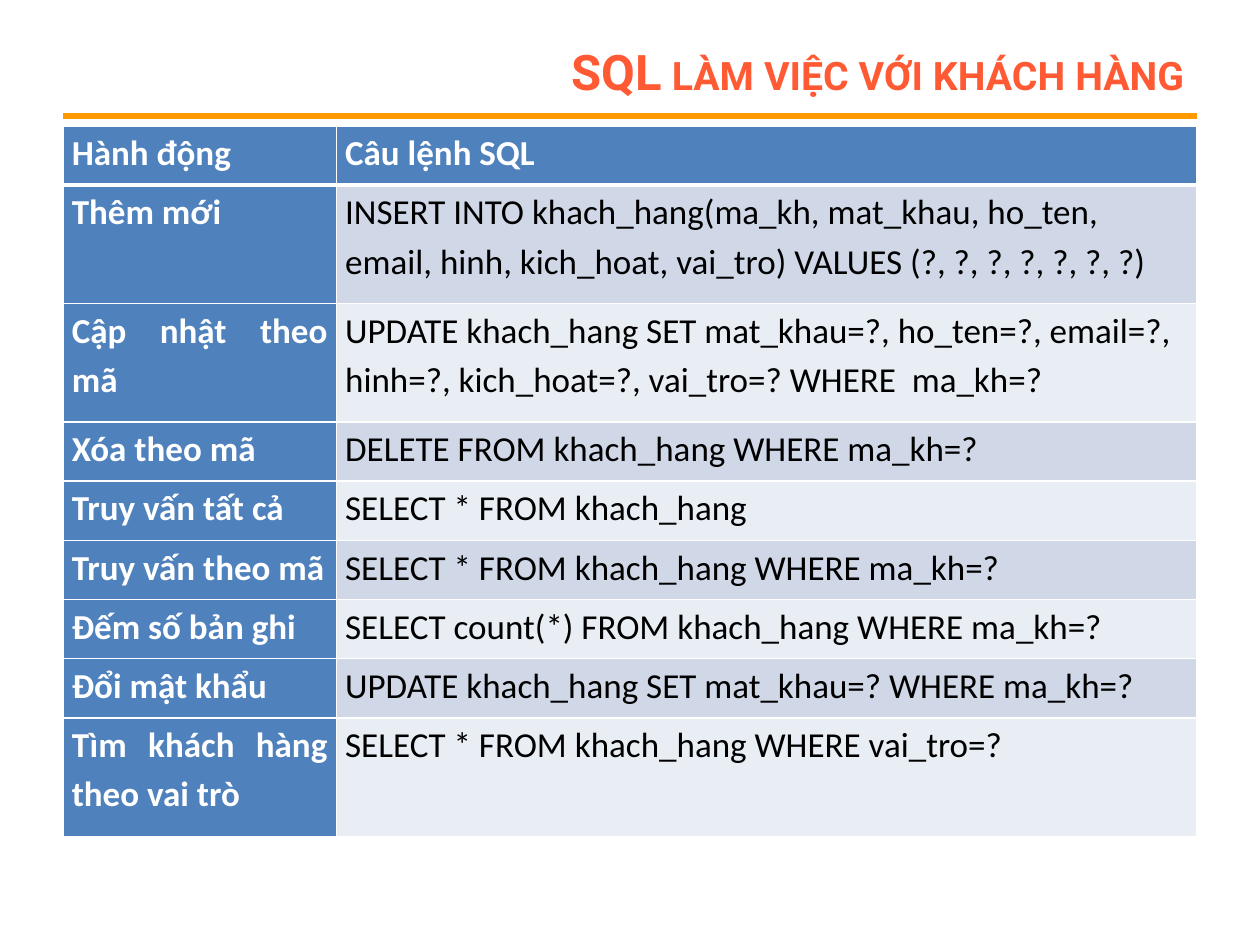
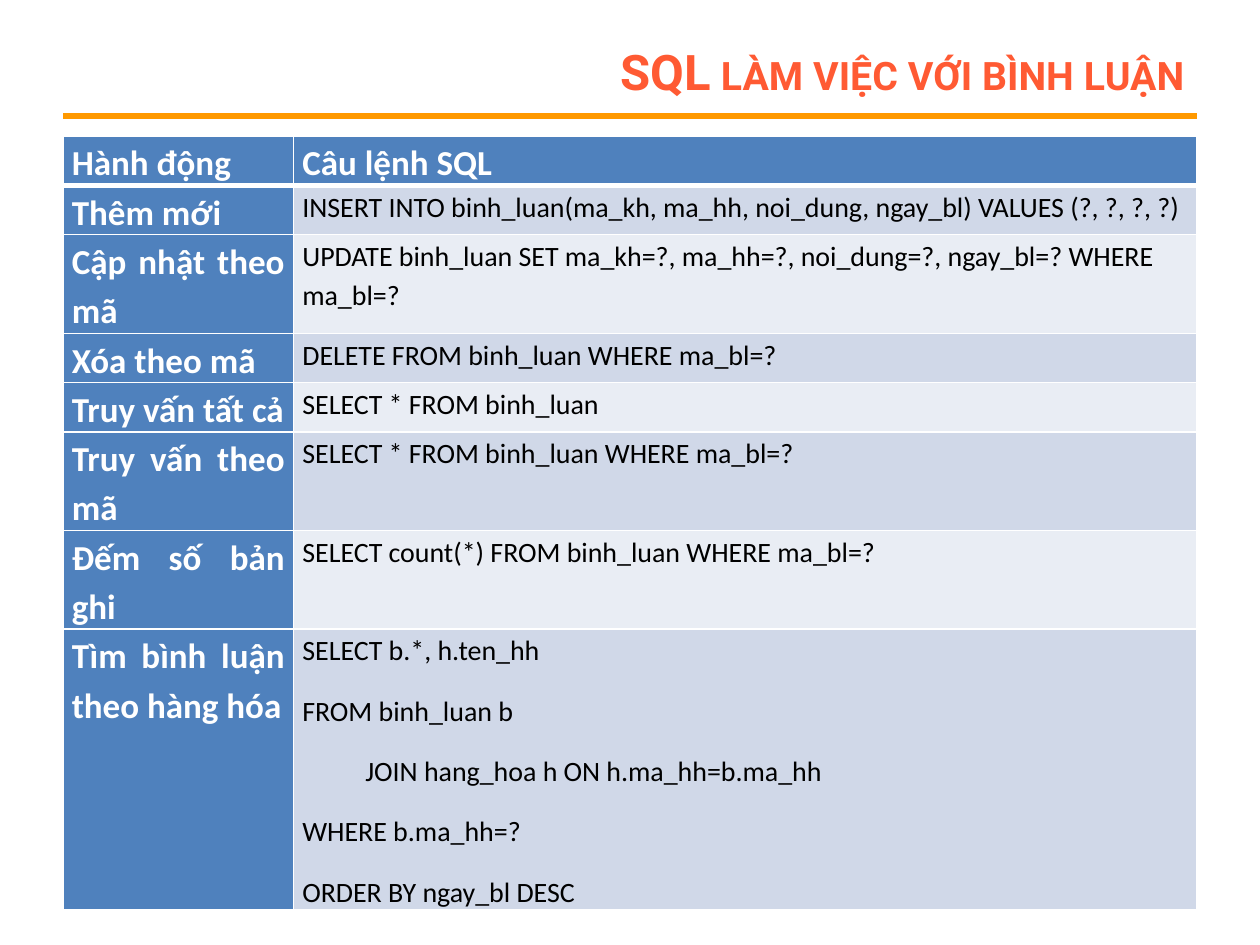
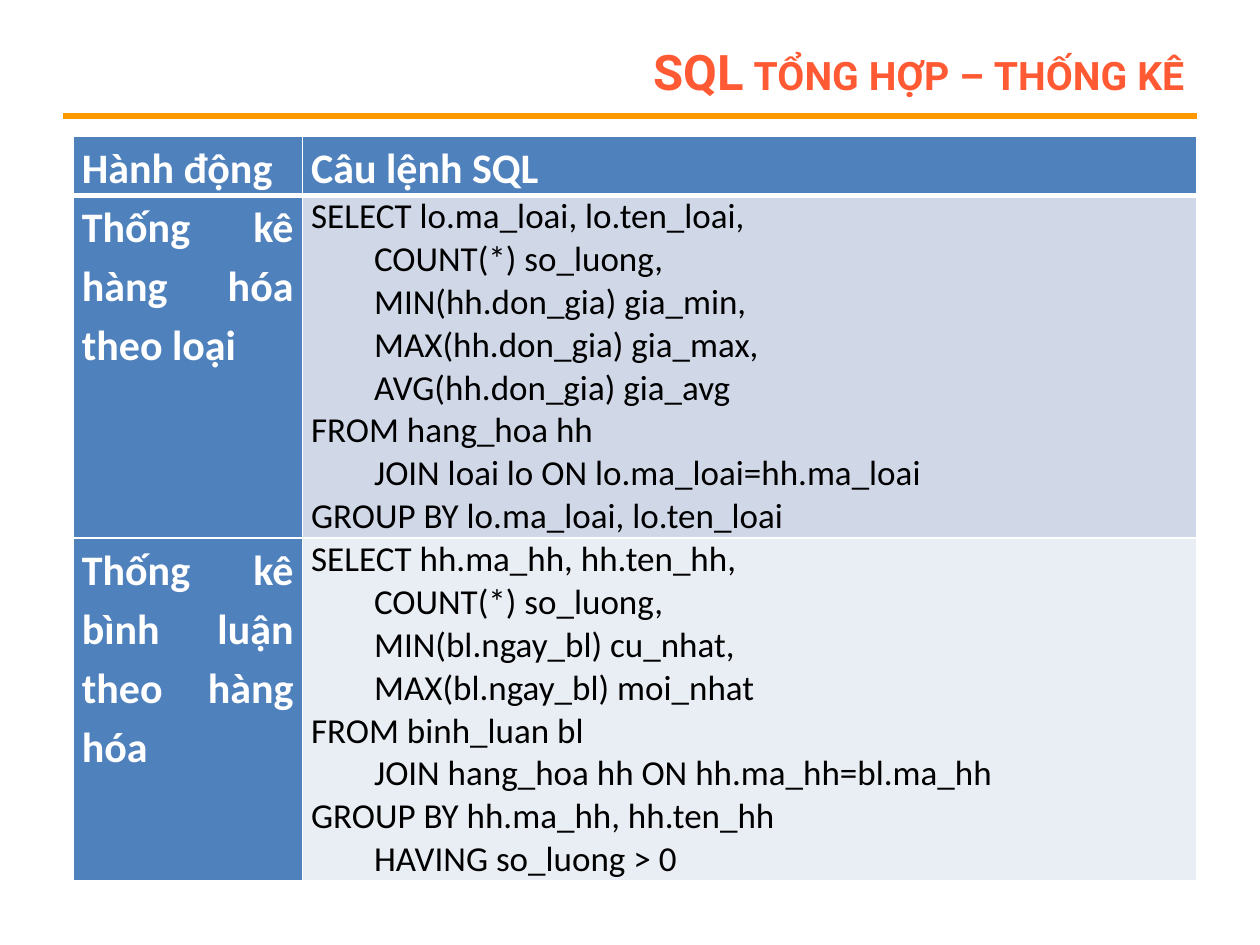
from lxml import etree
from pptx import Presentation
from pptx.dml.color import RGBColor
from pptx.enum.shapes import MSO_CONNECTOR
from pptx.enum.text import MSO_ANCHOR, PP_ALIGN
from pptx.oxml import parse_xml
from pptx.oxml.ns import nsdecls, qn
from pptx.util import Inches, Pt

STRAIGHT = MSO_CONNECTOR.STRAIGHT
MIDDLE = MSO_ANCHOR.MIDDLE
LEFT, RIGHT, JUSTIFY = PP_ALIGN.LEFT, PP_ALIGN.RIGHT, PP_ALIGN.JUSTIFY

COLORS = {
    "title": "FF5A33",
    "rule": "FF9900",
    "header": "4F81BD",
    "odd": "D0D8E8",
    "even": "E9EDF4",
    "white": "FFFFFF",
    "code": "000000",
}
HEADINGS = ("Hành động", ["Câu lệnh SQL"])

# Each row: action, lines of SQL (a leading tab indents the line), row height
ONE, TWO = 0.47, 0.94
customer_rows = [
    ("Thêm mới", ["INSERT INTO khach_hang(ma_kh, mat_khau, ho_ten, email, hinh, "
                  "kich_hoat, vai_tro) VALUES (?, ?, ?, ?, ?, ?, ?)"], TWO),
    ("Cập nhật theo mã", ["UPDATE khach_hang SET mat_khau=?, ho_ten=?, email=?, hinh=?, "
                          "kich_hoat=?, vai_tro=? WHERE  ma_kh=?"], TWO),
    ("Xóa theo mã", ["DELETE FROM khach_hang WHERE ma_kh=?"], ONE),
    ("Truy vấn tất cả", ["SELECT * FROM khach_hang"], ONE),
    ("Truy vấn theo mã", ["SELECT * FROM khach_hang WHERE ma_kh=?"], ONE),
    ("Đếm số bản ghi", ["SELECT count(*) FROM khach_hang WHERE ma_kh=?"], ONE),
    ("Đổi mật khẩu", ["UPDATE khach_hang SET mat_khau=? WHERE ma_kh=?"], ONE),
    ("Tìm khách hàng theo vai trò", ["SELECT * FROM khach_hang WHERE vai_tro=?"], TWO),
]

TIGHT_ONE, TIGHT_TWO = 0.39, 0.78
comment_rows = [
    ("Thêm mới", ["INSERT INTO binh_luan(ma_kh, ma_hh, noi_dung, ngay_bl) "
                  "VALUES (?, ?, ?, ?)"], TIGHT_ONE),
    ("Cập nhật theo mã", ["UPDATE binh_luan SET ma_kh=?, ma_hh=?, noi_dung=?, ngay_bl=? "
                          "WHERE ma_bl=?"], TIGHT_TWO),
    ("Xóa theo mã", ["DELETE FROM binh_luan WHERE ma_bl=?"], TIGHT_ONE),
    ("Truy vấn tất cả", ["SELECT * FROM binh_luan"], TIGHT_ONE),
    ("Truy vấn theo mã", ["SELECT * FROM binh_luan WHERE ma_bl=?"], TIGHT_TWO),
    ("Đếm số bản ghi", ["SELECT count(*) FROM binh_luan WHERE ma_bl=?"], TIGHT_TWO),
    ("Tìm bình luận theo hàng hóa", [
        "SELECT b.*, h.ten_hh",
        "FROM binh_luan b",
        "\tJOIN hang_hoa h ON h.ma_hh=b.ma_hh",
        "WHERE b.ma_hh=?",
        "ORDER BY ngay_bl DESC"], 2.23),
]

statistics_rows = [
    ("Thống kê hàng hóa theo loại", [
        "SELECT lo.ma_loai, lo.ten_loai,",
        "\tCOUNT(*) so_luong,",
        "\tMIN(hh.don_gia) gia_min,",
        "\tMAX(hh.don_gia) gia_max,",
        "\tAVG(hh.don_gia) gia_avg",
        "FROM hang_hoa hh",
        "\tJOIN loai lo ON lo.ma_loai=hh.ma_loai",
        "GROUP BY lo.ma_loai, lo.ten_loai"], 2.72),
    ("Thống kê bình luận theo hàng hóa", [
        "SELECT hh.ma_hh, hh.ten_hh,",
        "\tCOUNT(*) so_luong,",
        "\tMIN(bl.ngay_bl) cu_nhat,",
        "\tMAX(bl.ngay_bl) moi_nhat",
        "FROM binh_luan bl",
        "\tJOIN hang_hoa hh ON hh.ma_hh=bl.ma_hh",
        "GROUP BY hh.ma_hh, hh.ten_hh",
        "\tHAVING so_luong > 0"], 2.72),
]

# Title, table left and top, column widths, header height, label and code sizes,
# whether the code has paragraph spacing, rows
topics = [
    ("SQL làm việc với khách hàng", 0.5, 1, (2.17, 6.83), ONE, 20, 20, True, customer_rows),
    ("SQL làm việc với bình luận", 0.5, 1.08, (1.83, 7.17), TIGHT_ONE, 20, 16, True,
     comment_rows),
    ("SQL tổng hợp – thống kê", 0.58, 1.08, (1.82, 7.1), ONE, 24, 20, False,
     statistics_rows),
]


def style_run(run, font, size, color, bold):
    run.font.name = font
    run.font.size = Pt(size)
    run.font.bold = bold
    run.font.color.rgb = RGBColor.from_string(COLORS[color])


def fill_cell(cell, lines, size, color, fill, align, spaced, borders):
    cell.margin_left = cell.margin_right = Inches(0.07)
    cell.margin_top = cell.margin_bottom = 0
    for index, line in enumerate(lines):
        frame = cell.text_frame
        paragraph = frame.paragraphs[0] if index == 0 else frame.add_paragraph()
        paragraph.alignment = align
        if spaced:
            paragraph.line_spacing = 1.15
            paragraph.space_before = paragraph.space_after = Pt(6)
        if line.startswith("\t"):
            properties = paragraph._p.get_or_add_pPr()
            properties.set("marL", str(Inches(0.5)))
            properties.set("indent", "0")
        run = paragraph.add_run()
        run.text = line.strip()
        style_run(run, "Calibri", size, color, color == "white")
    # Borders come before the fill in the cell properties
    for side, width in borders.items():
        cell._tc.get_or_add_tcPr().append(parse_xml(
            f'<a:ln{side} {nsdecls("a")} w="{Pt(width)}"><a:solidFill>'
            f'<a:srgbClr val="{COLORS["white"]}"/></a:solidFill></a:ln{side}>'))
    cell.fill.solid()
    cell.fill.fore_color.rgb = RGBColor.from_string(COLORS[fill])


prs = Presentation()
prs.slide_width, prs.slide_height = Inches(10), Inches(7.5)
title_only = prs.slide_layouts[5]

for heading, left, top, widths, header_height, label_size, code_size, spaced, rows in topics:
    slide = prs.slides.add_slide(title_only)

    # Rule under the title
    rule = slide.shapes.add_connector(STRAIGHT, Inches(0.5), Inches(0.92),
                                      Inches(9.5), Inches(0.92))
    rule.line.color.rgb = RGBColor.from_string(COLORS["rule"])
    rule.line.width = Pt(3)
    etree.SubElement(rule._element.spPr, qn("a:effectLst"))

    # Title in small capitals
    title = slide.shapes.title
    title.left, title.top = Inches(2.25), Inches(0.3)
    title.width, title.height = Inches(7.25), Inches(0.53)
    title.text_frame.vertical_anchor = MIDDLE
    title_line = title.text_frame.paragraphs[0]
    title_line.alignment = RIGHT
    title_run = title_line.add_run()
    title_run.text = heading
    style_run(title_run, "Roboto", 28, "title", True)
    title_run._r.get_or_add_rPr().set("cap", "small")

    # Table of actions and statements
    table_rows = [(*HEADINGS, header_height)] + rows
    total_height = sum(height for _, _, height in table_rows)
    statements = slide.shapes.add_table(
        len(table_rows), 2, Inches(left), Inches(top),
        Inches(sum(widths)), Inches(total_height)).table
    statements.horz_banding = False
    for column, width in zip(statements.columns, widths):
        column.width = Inches(width)
    for index, (action, code, height) in enumerate(table_rows):
        statements.rows[index].height = Inches(height)
        borders = {"L": 1, "R": 1, "T": 3 if index == 1 else 1, "B": 3 if index == 0 else 1}
        fill_cell(statements.cell(index, 0), [action], label_size, "white", "header",
                  JUSTIFY, True, borders)
        if index == 0:
            fill_cell(statements.cell(index, 1), code, label_size, "white", "header",
                      LEFT, True, borders)
        else:
            fill_cell(statements.cell(index, 1), code, code_size, "code",
                      "odd" if index % 2 else "even", LEFT, spaced, borders)

prs.save("out.pptx")
